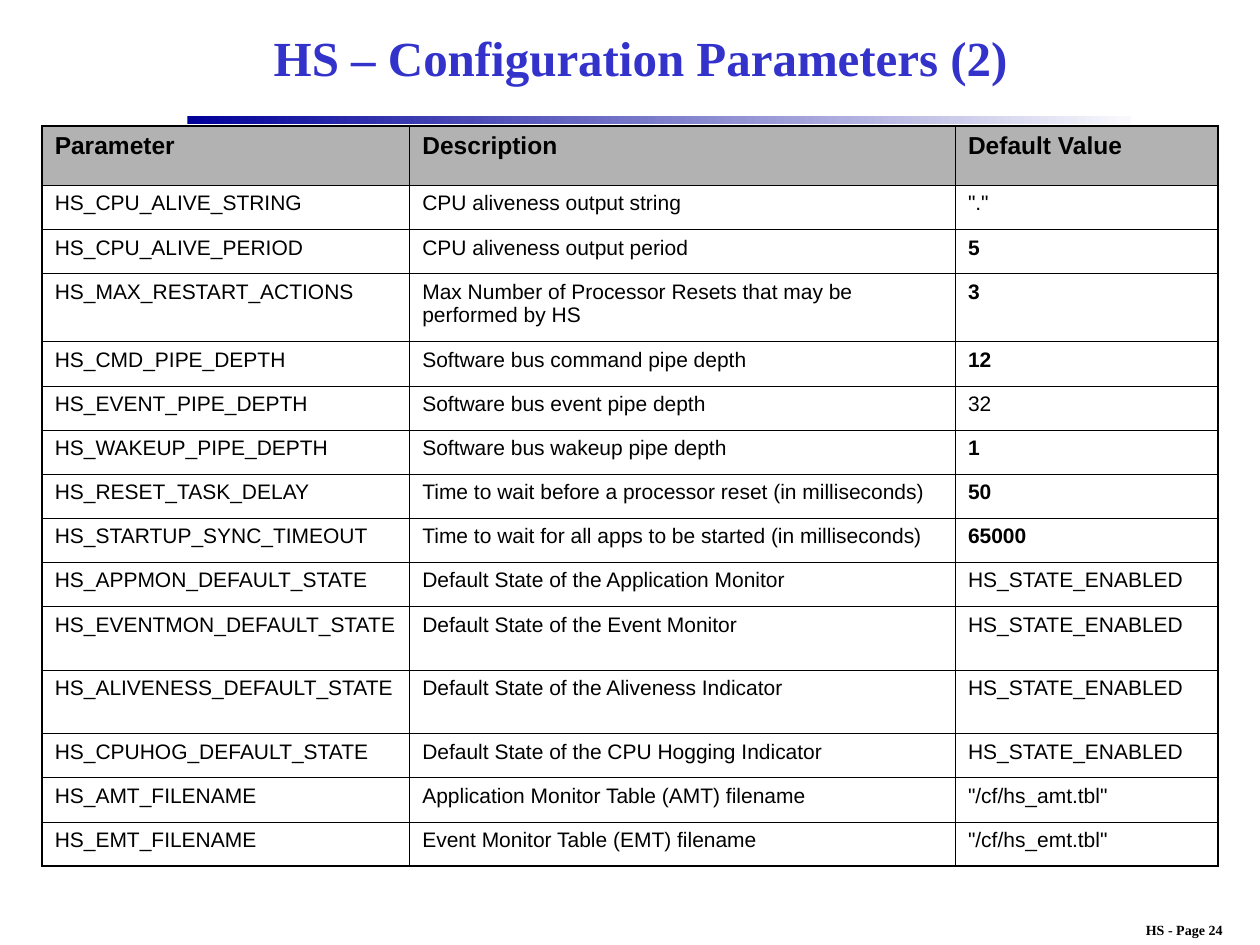
import pptx
import pptx.util
import pptx.dml.color
import pptx.enum.shapes
import pptx.enum.text
import pptx.oxml
import pptx.oxml.ns

Cm = pptx.util.Cm
Pt = pptx.util.Pt
ALIGN = pptx.enum.text.PP_ALIGN
ANCHOR = pptx.enum.text.MSO_ANCHOR

COLORS = {
    "text": "000000",
    "title": "3333CC",
    "rule_start": "000099",
    "rule_end": "F9F9FD",
    "header": "B2B2B2",
    "body": "FFFFFF",
}
SERIF, SANS = "Times New Roman", "Arial"
THIN, THICK = 0.45, 1.08

HEADINGS = ("Parameter", "Description", "Default Value")
COLUMN_WIDTHS = (7.41, 11.0, 5.29)
HEADER_HEIGHT, ROW_HEIGHT, SPACED_HEIGHT, WRAPPED_HEIGHT = 1.2, 0.89, 1.28, 1.37

# Name, description, default value, bold value, row height
PARAMETERS = [
    ("HS_CPU_ALIVE_STRING", "CPU aliveness output string", '"."', False, ROW_HEIGHT),
    ("HS_CPU_ALIVE_PERIOD", "CPU aliveness output period", "5", True, ROW_HEIGHT),
    ("HS_MAX_RESTART_ACTIONS",
     "Max Number of Processor Resets that may be performed by HS", "3", True, WRAPPED_HEIGHT),
    ("HS_CMD_PIPE_DEPTH", "Software bus command pipe depth", "12", True, ROW_HEIGHT),
    ("HS_EVENT_PIPE_DEPTH", "Software bus event pipe depth", "32", False, ROW_HEIGHT),
    ("HS_WAKEUP_PIPE_DEPTH", "Software bus wakeup pipe depth", "1", True, ROW_HEIGHT),
    ("HS_RESET_TASK_DELAY",
     "Time to wait before a processor reset (in milliseconds)", "50", True, ROW_HEIGHT),
    ("HS_STARTUP_SYNC_TIMEOUT",
     "Time to wait for all apps to be started (in milliseconds)", "65000", True, ROW_HEIGHT),
    ("HS_APPMON_DEFAULT_STATE",
     "Default State of the Application Monitor", "HS_STATE_ENABLED", False, ROW_HEIGHT),
    ("HS_EVENTMON_DEFAULT_STATE",
     "Default State of the Event Monitor", "HS_STATE_ENABLED", False, SPACED_HEIGHT),
    ("HS_ALIVENESS_DEFAULT_STATE",
     "Default State of the Aliveness Indicator", "HS_STATE_ENABLED", False, SPACED_HEIGHT),
    ("HS_CPUHOG_DEFAULT_STATE",
     "Default State of the CPU Hogging Indicator", "HS_STATE_ENABLED", False, ROW_HEIGHT),
    ("HS_AMT_FILENAME",
     "Application Monitor Table (AMT) filename", '"/cf/hs_amt.tbl"', False, ROW_HEIGHT),
    ("HS_EMT_FILENAME",
     "Event Monitor Table (EMT) filename", '"/cf/hs_emt.tbl"', False, ROW_HEIGHT),
]


def rgb(name):
    return pptx.dml.color.RGBColor.from_string(COLORS[name])


def write_text(frame, text, *, size, font=SANS, color="text", bold=False,
               align=ALIGN.LEFT, before=0):
    para = frame.paragraphs[0]
    para.alignment = align
    para.space_before = Pt(before)
    span = para.add_run()
    span.text = text
    span.font.name = font
    span.font.size = Pt(size)
    span.font.bold = bold
    span.font.color.rgb = rgb(color)


def set_borders(cell, widths):
    """Draw the cell edges; widths maps L, R, T, B to points."""
    properties = cell._tc.get_or_add_tcPr()
    for index, side in enumerate("LRTB"):
        line = pptx.oxml.parse_xml(
            f'<a:ln{side} {pptx.oxml.ns.nsdecls("a")} w="{Pt(widths[side])}">'
            f'<a:solidFill><a:srgbClr val="{COLORS["text"]}"/></a:solidFill></a:ln{side}>')
        properties.insert(index, line)


def add_title(page, left, top, width, height):
    title = page.shapes.title
    title.left, title.top, title.width, title.height = map(Cm, (left, top, width, height))
    title.text_frame.vertical_anchor = ANCHOR.MIDDLE
    write_text(title.text_frame, "HS – Configuration Parameters (2)", size=28,
               font=SERIF, color="title", bold=True, align=ALIGN.CENTER)


def add_rule(page, left, top, width, height):
    rule = page.shapes.add_shape(pptx.enum.shapes.MSO_SHAPE.RECTANGLE,
                                 Cm(left), Cm(top), Cm(width), Cm(height))
    rule.shadow.inherit = False
    rule.line.fill.background()
    rule.fill.gradient()
    rule.fill.gradient_angle = 0
    for stop, name in zip(rule.fill.gradient_stops, ("rule_start", "rule_end")):
        stop.color.rgb = rgb(name)


def add_parameter_table(page, left, top):
    rows = [(HEADINGS, (True,) * 3, HEADER_HEIGHT)]
    rows += [(texts, (False, False, bold), height)
             for *texts, bold, height in PARAMETERS]
    last_row, last_column = len(rows) - 1, len(HEADINGS) - 1
    frame = page.shapes.add_table(
        len(rows), len(HEADINGS), Cm(left), Cm(top),
        Cm(sum(COLUMN_WIDTHS)), Cm(sum(height for *_, height in rows)))
    table = frame.table
    table.first_row = table.horz_banding = False
    for column, width in zip(table.columns, COLUMN_WIDTHS):
        column.width = Cm(width)

    for r, (texts, bolds, height) in enumerate(rows):
        table.rows[r].height = Cm(height)
        header = r == 0
        for c, (text, bold) in enumerate(zip(texts, bolds)):
            cell = table.cell(r, c)
            cell.fill.solid()
            cell.fill.fore_color.rgb = rgb("header" if header else "body")
            outer = {"L": c == 0, "R": c == last_column, "T": header, "B": r == last_row}
            set_borders(cell, {side: THICK if edge else THIN for side, edge in outer.items()})
            write_text(cell.text_frame, text, size=14 if header else 12, bold=bold,
                       before=6.1 if header else 5.2)


def add_page_label(page, left, top, width, height):
    box = page.shapes.add_textbox(Cm(left), Cm(top), Cm(width), Cm(height))
    box.text_frame.word_wrap = False
    write_text(box.text_frame, "HS - Page 24", size=8, font=SERIF, bold=True,
               align=ALIGN.CENTER)


deck = pptx.Presentation()
deck.slide_width, deck.slide_height = Cm(25.4), Cm(19.05)
page = deck.slides.add_slide(deck.slide_layouts[5])
add_page_label(page, 22.35, 18.46, 3.05, 0.59)
add_rule(page, 3.78, 2.33, 19.02, 0.18)
add_title(page, 3.81, 0.2, 18.21, 1.9)
add_parameter_table(page, 0.85, 2.54)
deck.save("out.pptx")
